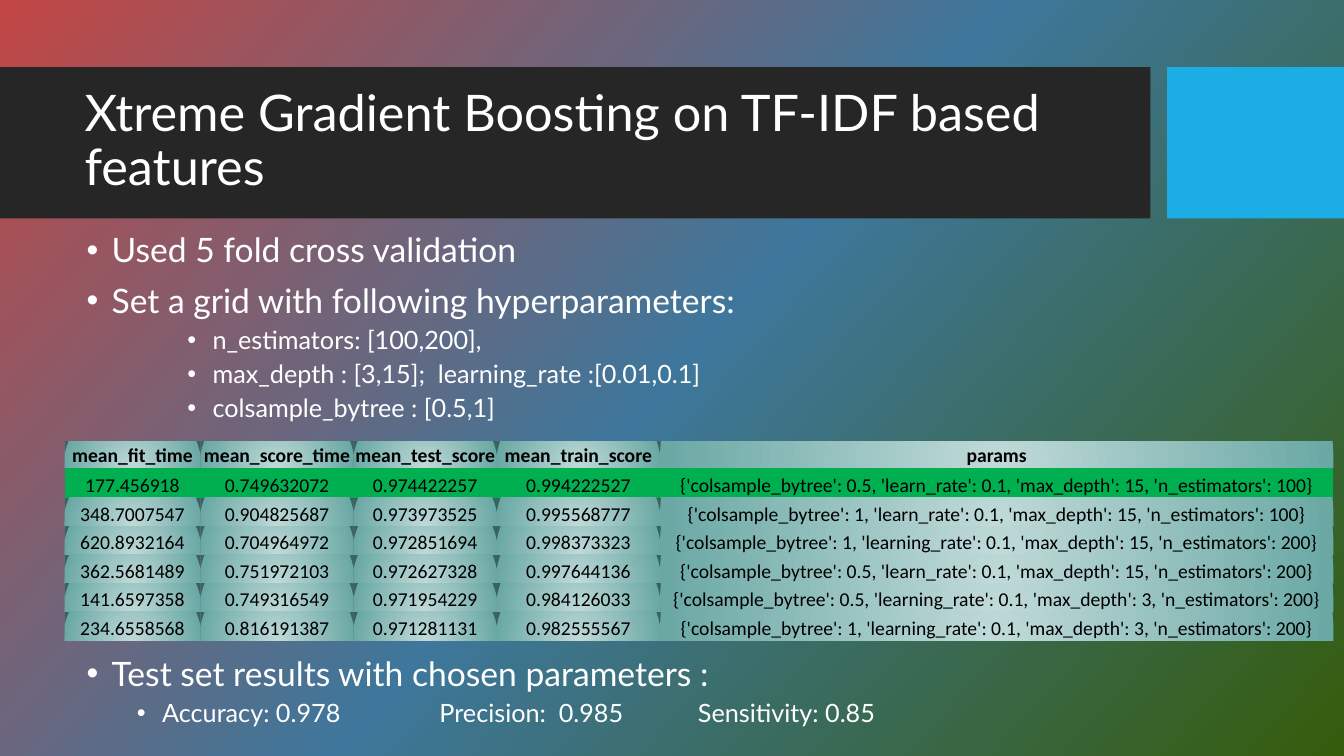
"""Build the slide on gradient boosting over TF-IDF features."""
from lxml import etree
from pptx import Presentation, util as u
from pptx.dml.color import RGBColor
from pptx.enum import shapes, text
from pptx.oxml import ns

WIDTH, HEIGHT = u.Inches(13.33), u.Inches(7.5)
COLOURS = {
    "band": "262626", "accent": "1CADE4", "light": "FFFFFF", "dark": "000000",
    "best": "00B050", "red": "C24644", "blue": "3E779B", "green": "355C0B",
    "mist": "C0DAD9", "teal": "6AA8A4", "deep": "3A6360",
}
TITLE = "Xtreme Gradient Boosting on TF-IDF based features"
SETUP = [
    (0, "Used 5 fold cross validation"),
    (0, "Set a grid with following hyperparameters:"),
    (2, "n_estimators: [100,200],"),
    (2, "max_depth : [3,15];  learning_rate :[0.01,0.1]"),
    (2, "colsample_bytree : [0.5,1]"),
]
RESULTS = [
    (0, "Test set results with chosen parameters :"),
    (1, "Accuracy: 0.978\t\tPrecision:  0.985\t\t Sensitivity: 0.85"),
]
SCORES = [
    ("mean_fit_time", "mean_score_time", "mean_test_score", "mean_train_score", "params"),
    ("177.456918", "0.749632072", "0.974422257", "0.994222527",
     "{'colsample_bytree': 0.5, 'learn_rate': 0.1, 'max_depth': 15, 'n_estimators': 100}"),
    ("348.7007547", "0.904825687", "0.973973525", "0.995568777",
     "{'colsample_bytree': 1, 'learn_rate': 0.1, 'max_depth': 15, 'n_estimators': 100}"),
    ("620.8932164", "0.704964972", "0.972851694", "0.998373323",
     "{'colsample_bytree': 1, 'learning_rate': 0.1, 'max_depth': 15, 'n_estimators': 200}"),
    ("362.5681489", "0.751972103", "0.972627328", "0.997644136",
     "{'colsample_bytree': 0.5, 'learn_rate': 0.1, 'max_depth': 15, 'n_estimators': 200}"),
    ("141.6597358", "0.749316549", "0.971954229", "0.984126033",
     "{'colsample_bytree': 0.5, 'learning_rate': 0.1, 'max_depth': 3, 'n_estimators': 200}"),
    ("234.6558568", "0.816191387", "0.971281131", "0.982555567",
     "{'colsample_bytree': 1, 'learning_rate': 0.1, 'max_depth': 3, 'n_estimators': 200}"),
]
COLUMN_SHARES = [10.12, 11.4, 10.65, 12.15, 50.1]
ROW_SHARES = [3.5, 3.95] + [3.77] * 5
BEST_ROW = 1
PLAIN_STYLE = "{2D5ABB26-0587-4C30-8999-92F81FD0307C}"


def across(share):
    """Turn a percentage of the slide width into a length."""
    return u.Emu(int(WIDTH * share / 100))


def down(share):
    """Turn a percentage of the slide height into a length."""
    return u.Emu(int(HEIGHT * share / 100))


def area(left, top, width, height):
    """Turn four percentages into a position and size."""
    return across(left), down(top), across(width), down(height)


def apply(target, **values):
    """Set each given attribute on the target."""
    for name, value in values.items():
        setattr(target, name, value)


def colour(name):
    """Look up a named colour."""
    return RGBColor.from_string(COLOURS[name])


def paint(fill, name):
    """Fill with one named colour."""
    fill.solid()
    fill.fore_color.rgb = colour(name)


def gradient(stops, direction):
    """Make a gradient fill element from (position, colour) stops."""
    marks = "".join(
        f'<a:gs pos="{place * 1000}"><a:srgbClr val="{COLOURS[name]}"/></a:gs>'
        for place, name in stops)
    return etree.fromstring(
        f'<a:gradFill {ns.nsdecls("a")} rotWithShape="1">'
        f"<a:gsLst>{marks}</a:gsLst>{direction}</a:gradFill>")


def swap_solid(parent, fill):
    """Replace the solid fill of an element with another fill."""
    parent.replace(parent.find(ns.qn("a:solidFill")), fill)


def add_background(page):
    """Give the page its diagonal gradient."""
    page.background.fill.solid()
    holder = page.background._cSld.bg.bgPr
    swap_solid(holder, gradient([(0, "red"), (50, "blue"), (100, "green")],
                                '<a:lin ang="2520000" scaled="0"/>'))


def add_block(page, place, name):
    """Add a plain coloured rectangle."""
    block = page.shapes.add_shape(shapes.MSO_SHAPE.RECTANGLE, *area(*place))
    block.shadow.inherit = False
    paint(block.fill, name)
    block.line.fill.background()


def write(para, words, size, face="Lato", ink="light", bold=False):
    """Write one formatted span into a paragraph."""
    span = para.add_run()
    span.text = words
    apply(span.font, size=u.Pt(size), name=face, bold=bold)
    span.font.color.rgb = colour(ink)


def add_frame(page, place, **values):
    """Add a wrapping text box and return its text frame."""
    frame = page.shapes.add_textbox(*area(*place)).text_frame
    apply(frame, word_wrap=True, **values)
    return frame


def add_title(page):
    """Add the heading."""
    frame = add_frame(page, (5.55, 10.93, 78.82, 15.73),
                      vertical_anchor=text.MSO_ANCHOR.MIDDLE)
    para = frame.paragraphs[0]
    para.line_spacing = 0.9
    write(para, TITLE, 36)


def add_bullets(page, place, items):
    """Add a bulleted list of (level, words) items."""
    frame = add_frame(page, place)
    for index, (level, words) in enumerate(items):
        para = frame.add_paragraph() if index else frame.paragraphs[0]
        apply(para, level=level, line_spacing=0.9, space_before=u.Pt(5 if level else 10))
        layout = para._p.get_or_add_pPr()
        layout.set("marL", str(u.Inches(0.25 + level * 0.5)))
        layout.set("indent", str(u.Inches(-0.25)))
        etree.SubElement(layout, ns.qn("a:buFont")).set("typeface", "Arial")
        etree.SubElement(layout, ns.qn("a:buChar")).set("char", "•")
        write(para, words, 18 if level else 24)


def fill_cell(cell, words, row):
    """Write and colour one cell of the score table."""
    inset = u.Inches(0.01)
    apply(cell, margin_left=inset, margin_right=inset, margin_top=inset,
          margin_bottom=0, vertical_anchor=text.MSO_ANCHOR.BOTTOM)
    para = cell.text_frame.paragraphs[0]
    para.alignment = text.PP_ALIGN.CENTER
    write(para, words, 14, "Calibri", "dark", row == 0)
    paint(cell.fill, "best")
    if row != BEST_ROW:
        swap_solid(cell._tc.tcPr, gradient(
            [(0, "mist"), (100, "teal"), (100, "deep")],
            '<a:path path="circle"><a:fillToRect l="50000" t="130000" '
            'r="50000" b="-30000"/></a:path>'))


def add_scores(page):
    """Add the table of cross validation scores."""
    place = area(4.8, 58.4, sum(COLUMN_SHARES), sum(ROW_SHARES))
    table = page.shapes.add_table(len(SCORES), len(COLUMN_SHARES), *place).table
    apply(table, first_row=False, horz_banding=False)
    table._tbl.tblPr.find(ns.qn("a:tableStyleId")).text = PLAIN_STYLE
    for column, share in zip(table.columns, COLUMN_SHARES):
        column.width = across(share)
    for row, (values, share) in enumerate(zip(SCORES, ROW_SHARES)):
        table.rows[row].height = down(share)
        for column, words in enumerate(values):
            fill_cell(table.cell(row, column), words, row)


def main():
    """Build and save the deck."""
    deck = Presentation()
    apply(deck, slide_width=WIDTH, slide_height=HEIGHT)
    page = deck.slides.add_slide(deck.slide_layouts[6])
    add_background(page)
    add_block(page, (0, 8.9, 85.6, 20), "band")
    add_block(page, (86.85, 8.9, 13.15, 20), "accent")
    add_title(page)
    add_bullets(page, (5.7, 30.27, 78.82, 28), SETUP)
    add_bullets(page, (5.7, 86.27, 78.82, 11.6), RESULTS)
    add_scores(page)
    deck.save("out.pptx")


if __name__ == "__main__":
    main()
